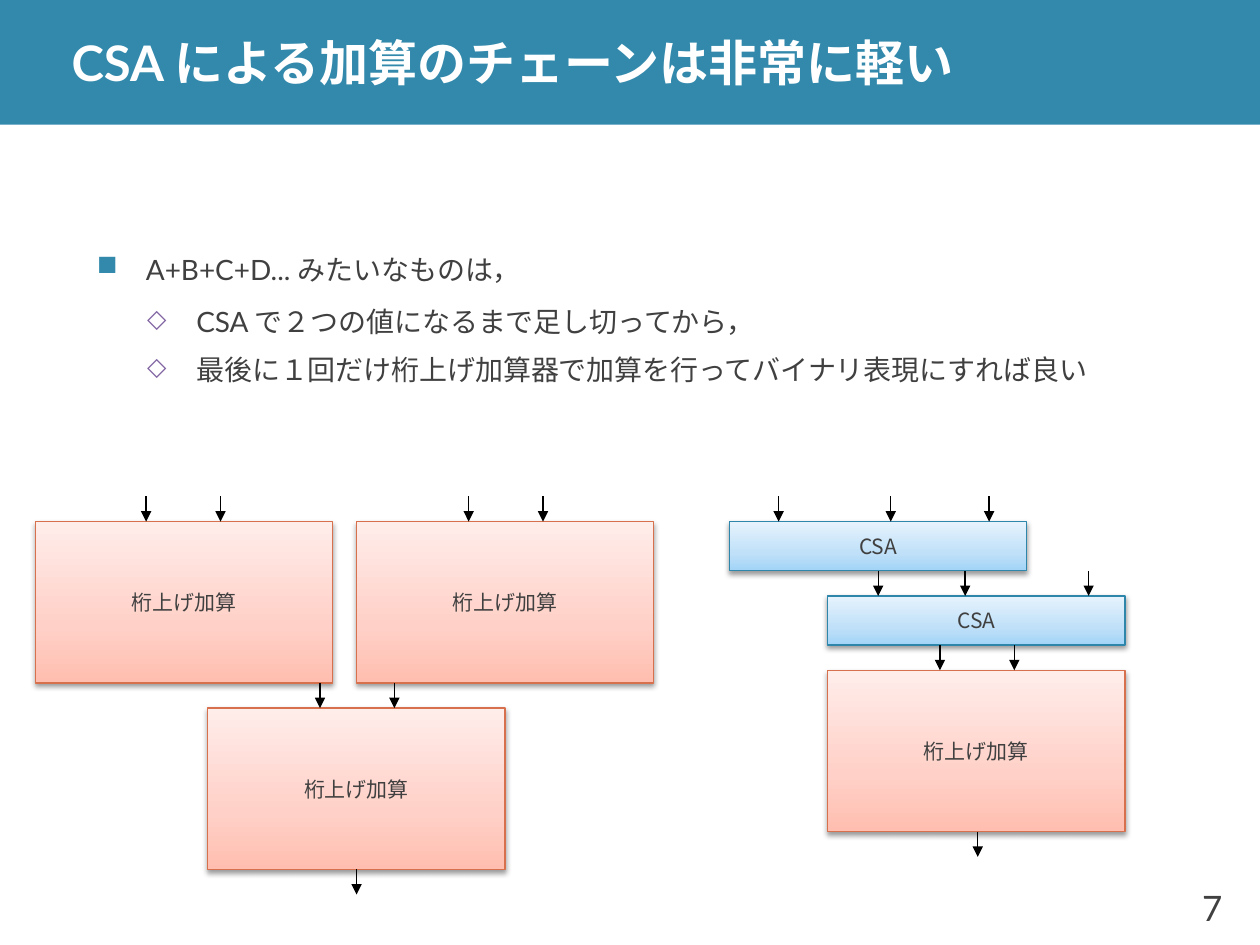
from lxml import etree
from pptx import Presentation
from pptx.dml.color import RGBColor
from pptx.enum import shapes, text
from pptx.oxml.ns import qn
from pptx.util import Inches, Pt

# Content
TITLE = "CSA による加算のチェーンは非常に軽い"
PAGE_NUMBER = "7"
BULLETS = [  # level, text
    (0, "A+B+C+D... みたいなものは，"),
    (1, "CSA で２つの値になるまで足し切ってから，"),
    (1, "最後に１回だけ桁上げ加算器で加算を行ってバイナリ表現にすれば良い"),
]
CARRY, CSA = "桁上げ加算", "CSA"

# Each column is a list of rows from the top; a row is a list of boxes:
# kind, left, x of the arrows going in, x of the arrows going out
ADDER_TREE = [
    [(CARRY, 0.28, [1.16, 1.75], []), (CARRY, 2.83, [3.72, 4.31], [])],
    [(CARRY, 1.65, [2.54, 3.13], [2.83])],
]
CSA_CHAIN = [
    [(CSA, 5.79, [6.18, 7.07, 7.85], [])],
    [(CSA, 6.57, [6.97, 7.66, 8.64], [])],
    [(CARRY, 6.57, [7.46, 8.05], [7.76])],
]
DIAGRAM_TOP, BOX_WIDTH, GAP = 4.14, 2.36, 0.2

# Style
WHITE = RGBColor(0xFF, 0xFF, 0xFF)
BLACK = RGBColor(0, 0, 0)
GREY = RGBColor(0x40, 0x40, 0x40)
TEAL = RGBColor(0x32, 0x89, 0xAC)
PURPLE = RGBColor(0x80, 0x64, 0xA2)
LATIN, JAPANESE = "Lato", "Noto Sans CJK JP"
BOX_STYLES = {  # height, line colour, gradient stops from the bottom up
    CARRY: (1.28, RGBColor(0xD7, 0x71, 0x4D),
            [(0, "FFBEB0"), (35, "FFD0C7"), (100, "FFEDEA")]),
    CSA: (0.39, RGBColor(0x2E, 0x87, 0xAB),
          [(0, "A2D4F7"), (35, "BFE0F8"), (100, "E6F3FD")]),
}
BULLET_STYLES = [  # character, colour, size %, indent, space before, after
    ("■", TEAL, 100, 0.39, 24, 6),
    ("◇", PURPLE, 90, 0.79, 3, 3),
]


def add_xml(parent, tag, **attributes):
    return etree.SubElement(parent, qn(tag), attributes)


def format_runs(paragraph, size, color, font=LATIN, bold=False):
    for run in paragraph.runs:
        run.font.size = Pt(size)
        run.font.bold = bold
        run.font.color.rgb = color
        run.font.name = font
        add_xml(run.font._element, "a:ea", typeface=JAPANESE)


def add_text_box(slide, left, top, width, height, wrap=True):
    box = slide.shapes.add_textbox(*map(Inches, (left, top, width, height)))
    frame = box.text_frame
    frame.word_wrap = wrap
    frame.vertical_anchor = text.MSO_ANCHOR.MIDDLE
    return frame


def add_bullet(paragraph, level, content, first):
    character, color, size, indent, before, after = BULLET_STYLES[level]
    properties = paragraph._p.get_or_add_pPr()
    properties.set("marL", str(Inches(indent)))
    properties.set("indent", str(Inches(-0.39)))
    bullet_color = add_xml(properties, "a:buClr")
    add_xml(bullet_color, "a:srgbClr", val=str(color))
    add_xml(properties, "a:buSzPct", val=str(size * 1000))
    add_xml(properties, "a:buChar", char=character)
    paragraph.text = content
    paragraph.level = level
    paragraph.line_spacing = 1.1
    paragraph.space_before = Pt(0 if first else before)
    paragraph.space_after = Pt(after)
    format_runs(paragraph, 16, GREY)


def add_arrow(slide, x, top):
    arrow = slide.shapes.add_connector(
        shapes.MSO_CONNECTOR.STRAIGHT,
        Inches(x), Inches(top), Inches(x), Inches(top + GAP))
    arrow.line.color.rgb = BLACK
    arrow.line.width = Pt(0.75)
    add_xml(arrow.line._get_or_add_ln(), "a:tailEnd", type="triangle")
    add_xml(arrow._element.spPr, "a:effectLst")


def add_box(slide, kind, left, top):
    height, line_color, stops = BOX_STYLES[kind]
    box = slide.shapes.add_shape(
        shapes.MSO_SHAPE.RECTANGLE,
        *map(Inches, (left, top, BOX_WIDTH, height)))
    box.line.color.rgb = line_color
    box.line.width = Pt(0.75)

    # Vertical gradient, darkest at the bottom
    box.fill.gradient()
    box.fill.gradient_angle = 90
    stop_list = box._element.spPr.find(".//" + qn("a:gsLst"))
    for old_stop in list(stop_list):
        stop_list.remove(old_stop)
    for position, color in stops:
        stop = add_xml(stop_list, "a:gs", pos=str(position * 1000))
        add_xml(stop, "a:srgbClr", val=color)

    # Soft shadow below
    box.shadow.inherit = False
    effects = box._element.spPr.find(qn("a:effectLst"))
    shadow = add_xml(effects, "a:outerShdw", blurRad=str(Pt(3.1)),
                     dist=str(Pt(1.6)), dir="5400000", rotWithShape="0")
    shadow_color = add_xml(shadow, "a:srgbClr", val=str(BLACK))
    add_xml(shadow_color, "a:alpha", val="38000")

    frame = box.text_frame
    frame.word_wrap = False
    frame.vertical_anchor = text.MSO_ANCHOR.MIDDLE
    paragraph = frame.paragraphs[0]
    paragraph.text = kind
    paragraph.alignment = text.PP_ALIGN.CENTER
    format_runs(paragraph, 12, GREY, JAPANESE)


def add_column(slide, rows):
    top = DIAGRAM_TOP
    for row in rows:
        height = BOX_STYLES[row[0][0]][0]
        for kind, left, inputs, outputs in row:
            add_box(slide, kind, left, top)
            for x in inputs:
                add_arrow(slide, x, top - GAP)
            for x in outputs:
                add_arrow(slide, x, top + height)
        top += height + GAP


def main():
    presentation = Presentation()
    presentation.slide_width = Inches(10)
    presentation.slide_height = Inches(7.5)
    slide = presentation.slides.add_slide(presentation.slide_layouts[6])

    # Title band
    band = slide.shapes.add_shape(
        shapes.MSO_SHAPE.RECTANGLE, 0, 0, Inches(10), Inches(0.99))
    band.shadow.inherit = False
    band.fill.solid()
    band.fill.fore_color.rgb = TEAL
    band.line.fill.background()
    title = add_text_box(slide, 0.47, 0, 9.53, 0.99)
    title.margin_top = title.margin_bottom = 0
    title.text = TITLE
    format_runs(title.paragraphs[0], 28, WHITE, bold=True)

    # Page number
    number = add_text_box(slide, 9.13, 6.9, 0.67, 0.6, wrap=False)
    number.text = PAGE_NUMBER
    number.paragraphs[0].alignment = text.PP_ALIGN.RIGHT
    format_runs(number.paragraphs[0], 20, GREY)

    # Bullets
    body = add_text_box(slide, 0.67, 1.19, 9.06, 2.66)
    for index, (level, content) in enumerate(BULLETS):
        paragraph = body.add_paragraph() if index else body.paragraphs[0]
        add_bullet(paragraph, level, content, first=index == 0)

    # Diagrams
    for rows in (ADDER_TREE, CSA_CHAIN):
        add_column(slide, rows)

    presentation.save("out.pptx")


if __name__ == "__main__":
    main()
